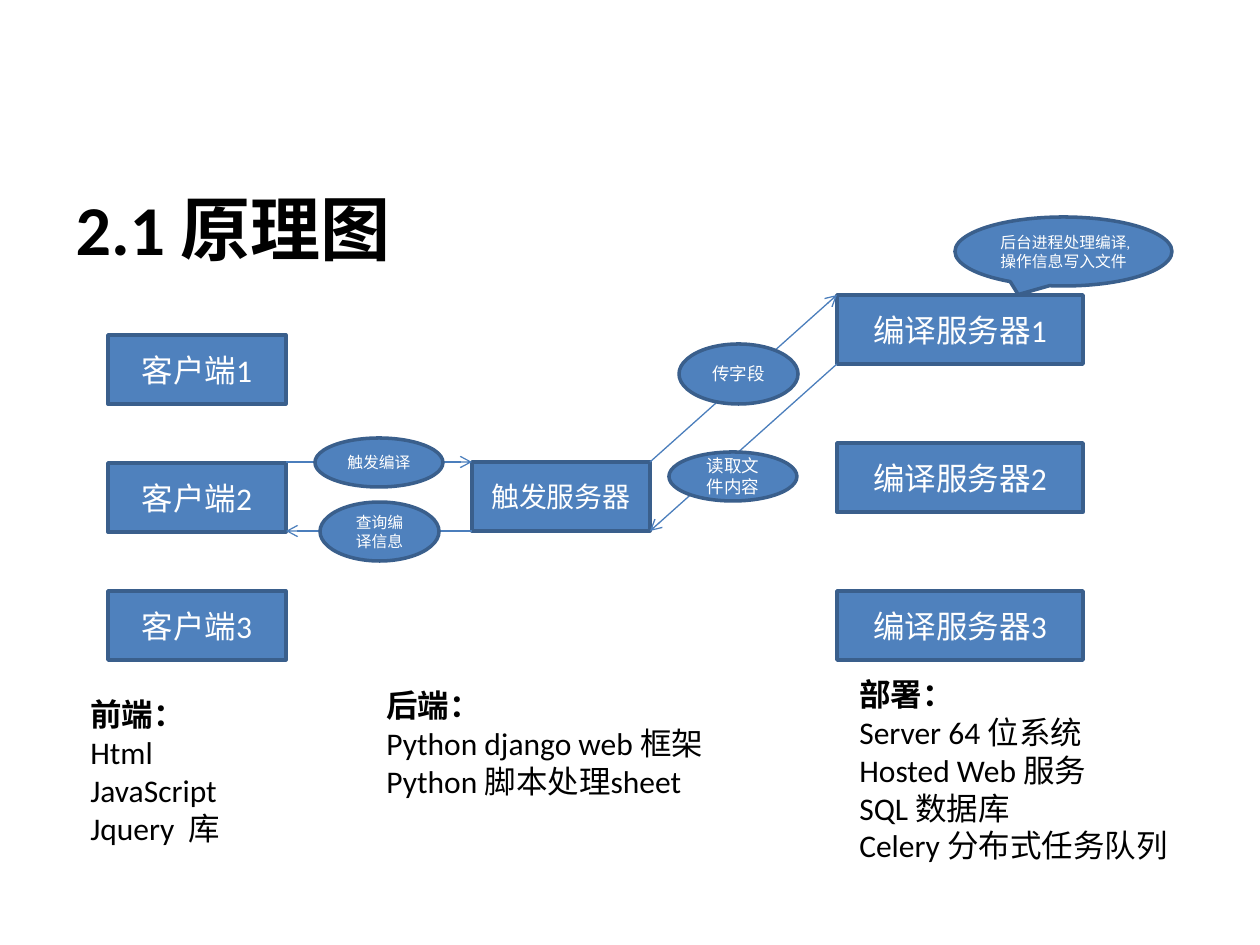
from dataclasses import dataclass

import lxml.etree
import pptx
import pptx.dml.color
import pptx.enum.shapes
import pptx.enum.text
import pptx.oxml.ns
import pptx.util

Kind = pptx.enum.shapes.MSO_SHAPE
Align = pptx.enum.text.PP_ALIGN
Anchor = pptx.enum.text.MSO_ANCHOR
PIXELS_PER_INCH = 126


@dataclass(frozen=True)
class Theme:
    font: str = "Calibri"
    fill: str = "4F81BD"
    outline: str = "3A5F8C"
    arrow: str = "4B7EBC"
    dark: str = "000000"
    light: str = "FFFFFF"
    title_size: int = 40
    body_size: int = 18
    hub_size: int = 16
    label_size: int = 10
    small_size: int = 9
    outline_width: float = 2
    arrow_width: float = 0.75


@dataclass(frozen=True)
class Box:
    left: int
    top: int
    width: int
    height: int


@dataclass(frozen=True)
class Node:
    lines: tuple[str, ...]
    box: Box
    size: int
    kind: Kind = Kind.RECTANGLE


@dataclass(frozen=True)
class Arrow:
    start: tuple[int, int]
    end: tuple[int, int]


@dataclass(frozen=True)
class Stack:
    heading: str
    items: tuple[str, ...]
    box: Box


THEME = Theme()
NODE_HEIGHT = 69
CLIENT_LEFT, CLIENT_WIDTH = 108, 178
HUB_LEFT, HUB_TOP = 472, 462
SERVER_LEFT, SERVER_WIDTH = 837, 246
CLIENT_TOP, CLIENT_STEP = 335, 128
SERVER_TOP, SERVER_STEP = 295, 148
CLIENT_RIGHT = CLIENT_LEFT + CLIENT_WIDTH
HUB_RIGHT = HUB_LEFT + CLIENT_WIDTH
HUB_BOTTOM = HUB_TOP + NODE_HEIGHT

CLIENTS = [
    Node((f"客户端{index + 1}",),
         Box(CLIENT_LEFT, CLIENT_TOP + index * CLIENT_STEP, CLIENT_WIDTH, NODE_HEIGHT),
         THEME.body_size)
    for index in range(3)
]
HUB = Node(("触发服务器",), Box(HUB_LEFT, HUB_TOP, CLIENT_WIDTH, NODE_HEIGHT), THEME.hub_size)
SERVERS = [
    Node((f"编译服务器{index + 1}",),
         Box(SERVER_LEFT, SERVER_TOP + index * SERVER_STEP, SERVER_WIDTH, NODE_HEIGHT),
         THEME.body_size)
    for index in range(3)
]
ARROWS = [
    Arrow((CLIENT_RIGHT, HUB_TOP), (HUB_LEFT, HUB_TOP)),
    Arrow((HUB_RIGHT, HUB_TOP), (SERVER_LEFT, SERVER_TOP)),
    Arrow((SERVER_LEFT, SERVER_TOP + NODE_HEIGHT), (HUB_RIGHT, HUB_BOTTOM)),
    Arrow((HUB_LEFT, HUB_BOTTOM), (CLIENT_RIGHT, HUB_BOTTOM)),
]
LABELS = [
    Node(("触发编译",), Box(315, 438, 128, 49), THEME.small_size, Kind.OVAL),
    Node(("传字段",), Box(679, 344, 119, 60), THEME.label_size, Kind.OVAL),
    Node(("后台进程处理编译,", "操作信息写入文件"), Box(955, 217, 217, NODE_HEIGHT),
         THEME.small_size, Kind.OVAL_CALLOUT),
    Node(("读取文件内容",), Box(669, 452, 128, 49), THEME.label_size, Kind.OVAL),
    Node(("查询编译信息",), Box(320, 502, 119, 59), THEME.small_size, Kind.OVAL),
]
STACKS = [
    Stack("后端：", ("Python django web 框架", "Python 脚本处理sheet"), Box(374, 680, 344, 127)),
    Stack("前端：", ("Html", "JavaScript", "Jquery  库"), Box(78, 689, 256, 165)),
    Stack("部署：", ("Server 64 位系统", "Hosted Web 服务\nSQL 数据库", "Celery 分布式任务队列"),
          Box(847, 669, 354, 204)),
]


def px(length: int) -> int:
    return round(length * pptx.util.Inches(1) / PIXELS_PER_INCH)


def color(value: str) -> pptx.dml.color.RGBColor:
    return pptx.dml.color.RGBColor.from_string(value)


def place(box: Box) -> tuple[int, int, int, int]:
    return px(box.left), px(box.top), px(box.width), px(box.height)


def add_run(paragraph, text: str, size: int, ink: str, bold: bool = False) -> None:
    run = paragraph.add_run()
    run.text = text
    run.font.name = THEME.font
    run.font.size = pptx.util.Pt(size)
    run.font.bold = bold
    run.font.color.rgb = color(ink)


def next_paragraph(frame, index: int):
    return frame.add_paragraph() if index else frame.paragraphs[0]


def add_title(slide, text: str, box: Box) -> None:
    title = slide.shapes.title
    title.left, title.top, title.width, title.height = place(box)
    frame = title.text_frame
    frame.vertical_anchor = Anchor.TOP
    paragraph = frame.paragraphs[0]
    paragraph.alignment = Align.LEFT
    add_run(paragraph, text, THEME.title_size, THEME.dark, True)


def add_node(slide, node: Node) -> None:
    shape = slide.shapes.add_shape(node.kind, *place(node.box))
    shape.shadow.inherit = False
    shape.fill.solid()
    shape.fill.fore_color.rgb = color(THEME.fill)
    shape.line.color.rgb = color(THEME.outline)
    shape.line.width = pptx.util.Pt(THEME.outline_width)
    frame = shape.text_frame
    frame.word_wrap = True
    frame.vertical_anchor = Anchor.MIDDLE
    for index, line in enumerate(node.lines):
        paragraph = next_paragraph(frame, index)
        paragraph.alignment = Align.CENTER
        add_run(paragraph, line, node.size, THEME.light)


def add_arrow(slide, arrow: Arrow) -> None:
    connector = slide.shapes.add_connector(
        pptx.enum.shapes.MSO_CONNECTOR.STRAIGHT, *map(px, arrow.start + arrow.end))
    connector.line.color.rgb = color(THEME.arrow)
    connector.line.width = pptx.util.Pt(THEME.arrow_width)
    qn = pptx.oxml.ns.qn
    lxml.etree.SubElement(connector.line._get_or_add_ln(), qn("a:tailEnd"), type="arrow")
    lxml.etree.SubElement(connector._element.spPr, qn("a:effectLst"))


def add_stack(slide, stack: Stack) -> None:
    frame = slide.shapes.add_textbox(*place(stack.box)).text_frame
    frame.word_wrap = True
    frame.auto_size = pptx.enum.text.MSO_AUTO_SIZE.SHAPE_TO_FIT_TEXT
    for index, text in enumerate((stack.heading, *stack.items)):
        paragraph = next_paragraph(frame, index)
        for line_index, line in enumerate(text.split("\n")):
            if line_index:
                paragraph.add_line_break()
            add_run(paragraph, line, THEME.body_size, THEME.dark, index == 0)


def main() -> None:
    presentation = pptx.Presentation()
    presentation.slide_width = pptx.util.Inches(10)
    presentation.slide_height = pptx.util.Inches(7.5)
    slide = presentation.slides.add_slide(presentation.slide_layouts[5])
    add_title(slide, "2.1 原理图", Box(63, 179, 1134, 157))
    for node in (*CLIENTS, HUB, *SERVERS):
        add_node(slide, node)
    for arrow in ARROWS:
        add_arrow(slide, arrow)
    for label in LABELS:
        add_node(slide, label)
    for stack in STACKS:
        add_stack(slide, stack)
    presentation.save("out.pptx")


if __name__ == "__main__":
    main()
